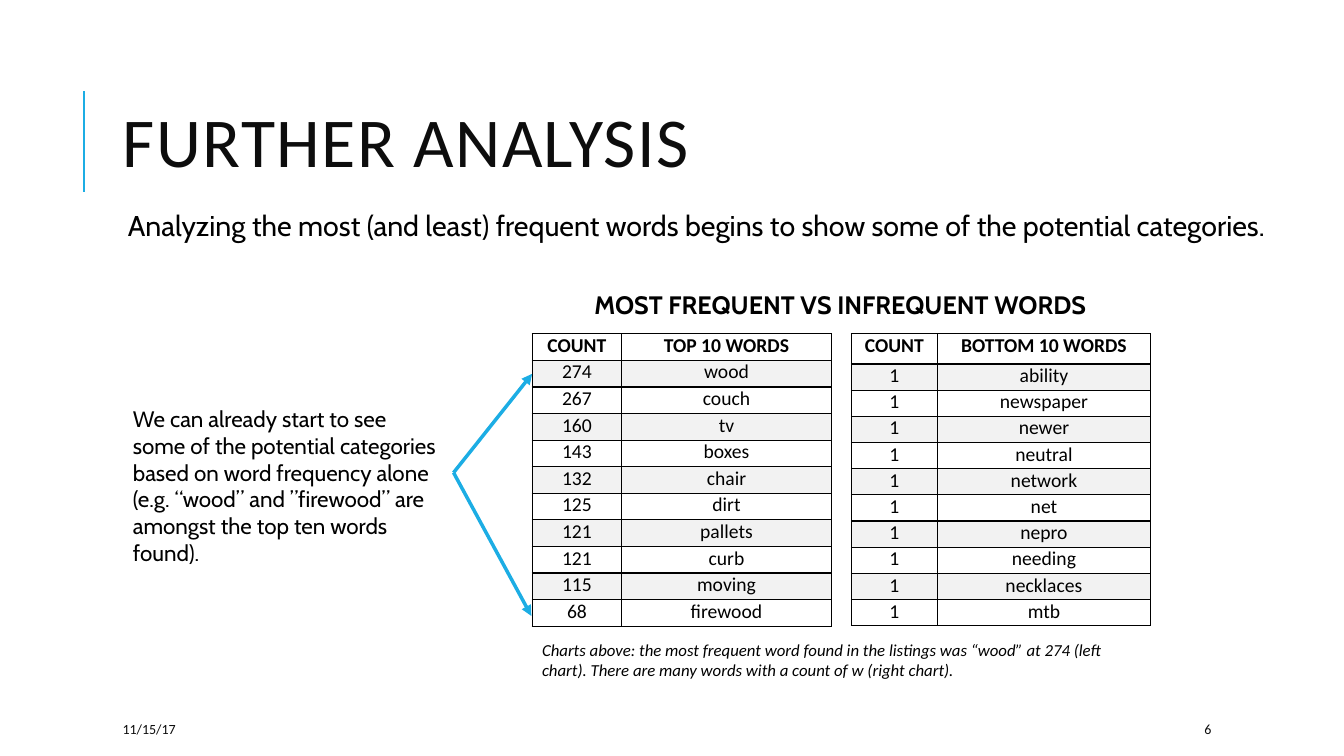
from lxml.etree import SubElement
from pptx import Presentation
from pptx.dml.color import RGBColor
from pptx.enum.shapes import MSO_CONNECTOR
from pptx.enum.text import MSO_ANCHOR, MSO_AUTO_SIZE, PP_ALIGN
from pptx.oxml.ns import qn
from pptx.util import Cm, Pt

BLACK = RGBColor(0x00, 0x00, 0x00)
INK = RGBColor(0x0D, 0x0D, 0x0D)
BLUE = RGBColor(0x1C, 0xAD, 0xE4)
WHITE = RGBColor(0xFF, 0xFF, 0xFF)
BAND = RGBColor(0xF2, 0xF2, 0xF2)

TOP_WORDS = [
    ("COUNT", "TOP 10 WORDS"), ("274", "wood"), ("267", "couch"),
    ("160", "tv"), ("143", "boxes"), ("132", "chair"), ("125", "dirt"),
    ("121", "pallets"), ("121", "curb"), ("115", "moving"), ("68", "firewood"),
]
BOTTOM_WORDS = [("COUNT", "BOTTOM 10 WORDS")] + [
    ("1", word) for word in (
        "ability", "newspaper", "newer", "neutral", "network",
        "net", "nepro", "needing", "necklaces", "mtb")
]


class SlideBuilder:
    """Holds the fonts and the current slide; all lengths are in cm."""

    head_font = "Calibri"
    body_font = "Cabin"

    def __init__(self, prs):
        self.s = prs.slides.add_slide(prs.slide_layouts[1])

    def style(self, p, size, font, color=BLACK, bold=False, italic=False):
        for r in p.runs:
            f = r.font
            f.size, f.name, f.bold, f.italic = Pt(size), font, bold, italic
            f.color.rgb = color

    def place(self, sp, x, y, w, h):
        sp.left, sp.top, sp.width, sp.height = Cm(x), Cm(y), Cm(w), Cm(h)

    def title(self, text, *box):
        sp = self.s.shapes.title
        self.place(sp, *box)
        tf = sp.text_frame
        tf.text = text
        tf.auto_size = MSO_AUTO_SIZE.NONE
        tf.vertical_anchor = MSO_ANCHOR.MIDDLE
        p = tf.paragraphs[0]
        p.alignment = PP_ALIGN.LEFT
        p.line_spacing = 0.8
        self.style(p, 50, self.head_font, INK)
        p.runs[0].font._element.set("spc", "100")

    def body(self, text, *box):
        sp = self.s.placeholders[1]
        self.place(sp, *box)
        tf = sp.text_frame
        tf.text = text
        tf.auto_size = MSO_AUTO_SIZE.NONE
        tf.margin_left = tf.margin_right = Cm(0.13)
        tf.margin_top = tf.margin_bottom = Cm(0.13)
        p = tf.paragraphs[0]
        p.line_spacing = 0.9
        p.space_before, p.space_after = Pt(0), Pt(2)
        pPr = p._p.get_or_add_pPr()
        pPr.set("marL", str(Cm(0.25)))
        pPr.set("indent", str(Cm(-0.25)))
        SubElement(pPr, qn("a:buChar"), char=" ")
        self.style(p, 20.4, self.body_font)

    def text(self, text, box, size, font, align=PP_ALIGN.LEFT,
             anchor=MSO_ANCHOR.TOP, **look):
        tf = self.s.shapes.add_textbox(*map(Cm, box)).text_frame
        tf.word_wrap = True
        tf.vertical_anchor = anchor
        tf.text = text
        p = tf.paragraphs[0]
        p.alignment = align
        self.style(p, size, font, **look)

    def border(self, cell):
        tcPr = cell._tc.get_or_add_tcPr()
        for side in ("a:lnL", "a:lnR", "a:lnT", "a:lnB"):
            ln = SubElement(tcPr, qn(side), w=str(Pt(1)))
            fill = SubElement(ln, qn("a:solidFill"))
            SubElement(fill, qn("a:srgbClr"), val=str(BLACK))

    def table(self, rows, x, y, widths, head_height, row_height):
        height = head_height + row_height * (len(rows) - 1)
        table = self.s.shapes.add_table(
            len(rows), len(widths), Cm(x), Cm(y),
            Cm(sum(widths)), Cm(height)).table
        table.first_row = table.horz_banding = False
        for column, width in zip(table.columns, widths):
            column.width = Cm(width)
        for i, row in enumerate(rows):
            table.rows[i].height = Cm(row_height if i else head_height)
            for j, value in enumerate(row):
                cell = table.cell(i, j)
                cell.text = value
                cell.margin_left = cell.margin_right = Cm(0.18)
                cell.margin_top = cell.margin_bottom = 0
                self.border(cell)
                cell.fill.solid()
                cell.fill.fore_color.rgb = BAND if i % 2 else WHITE
                p = cell.text_frame.paragraphs[0]
                p.alignment = PP_ALIGN.CENTER
                self.style(p, 14, self.head_font, bold=i == 0)

    def line(self, start, end, width, arrow=False):
        c = self.s.shapes.add_connector(
            MSO_CONNECTOR.STRAIGHT, *map(Cm, start + end))
        c.line.color.rgb = BLUE
        c.line.width = Pt(width)
        if arrow:
            SubElement(c.line._get_or_add_ln(), qn("a:tailEnd"), type="triangle")
        SubElement(c._element.spPr, qn("a:effectLst"))


def main():
    prs = Presentation()
    prs.slide_width, prs.slide_height = Cm(33.87), Cm(19.05)
    b = SlideBuilder(prs)

    b.line((2.11, 4.83), (2.11, 2.29), 1.5)
    b.title("FURTHER ANALYSIS", 2.84, 1.63, 27, 4.17)
    b.body("Analyzing the most (and least) frequent words begins to show "
           "some of the potential categories.", 2.84, 5.21, 29.46, 1.73)
    for text, x, width in (("11/15/17", 2.84, 6), ("6", 30.1, 2.69)):
        b.text(text, (x, 17.98, width, 0.76), 10, b.head_font,
               anchor=MSO_ANCHOR.MIDDLE, color=INK)

    b.text("MOST FREQUENT VS INFREQUENT WORDS", (13.39, 7.16, 15.57, 1.02),
           18, b.body_font, align=PP_ALIGN.CENTER, bold=True)
    b.table(TOP_WORDS, 13.41, 8.41, (2.26, 5.28), 0.67, 0.67)
    b.table(BOTTOM_WORDS, 21.46, 8.41, (2.16, 5.38), 0.76, 0.66)
    b.text("Charts above: the most frequent word found in the listings was "
           "“wood” at 274 (left chart). There are many words with a count "
           "of w (right chart).", (13.41, 16, 15.57, 1.27),
           12, b.head_font, italic=True)

    b.text("We can already start to see some of the potential categories "
           "based on word frequency alone (e.g. “wood” and ”firewood” are "
           "amongst the top ten words found).", (3.1, 10.08, 8.33, 3.68),
           16, b.body_font)
    for tip in ((13.41, 9.42), (13.39, 15.52)):
        b.line((11.43, 11.91), tip, 2.5, arrow=True)

    prs.save("out.pptx")


if __name__ == "__main__":
    main()
